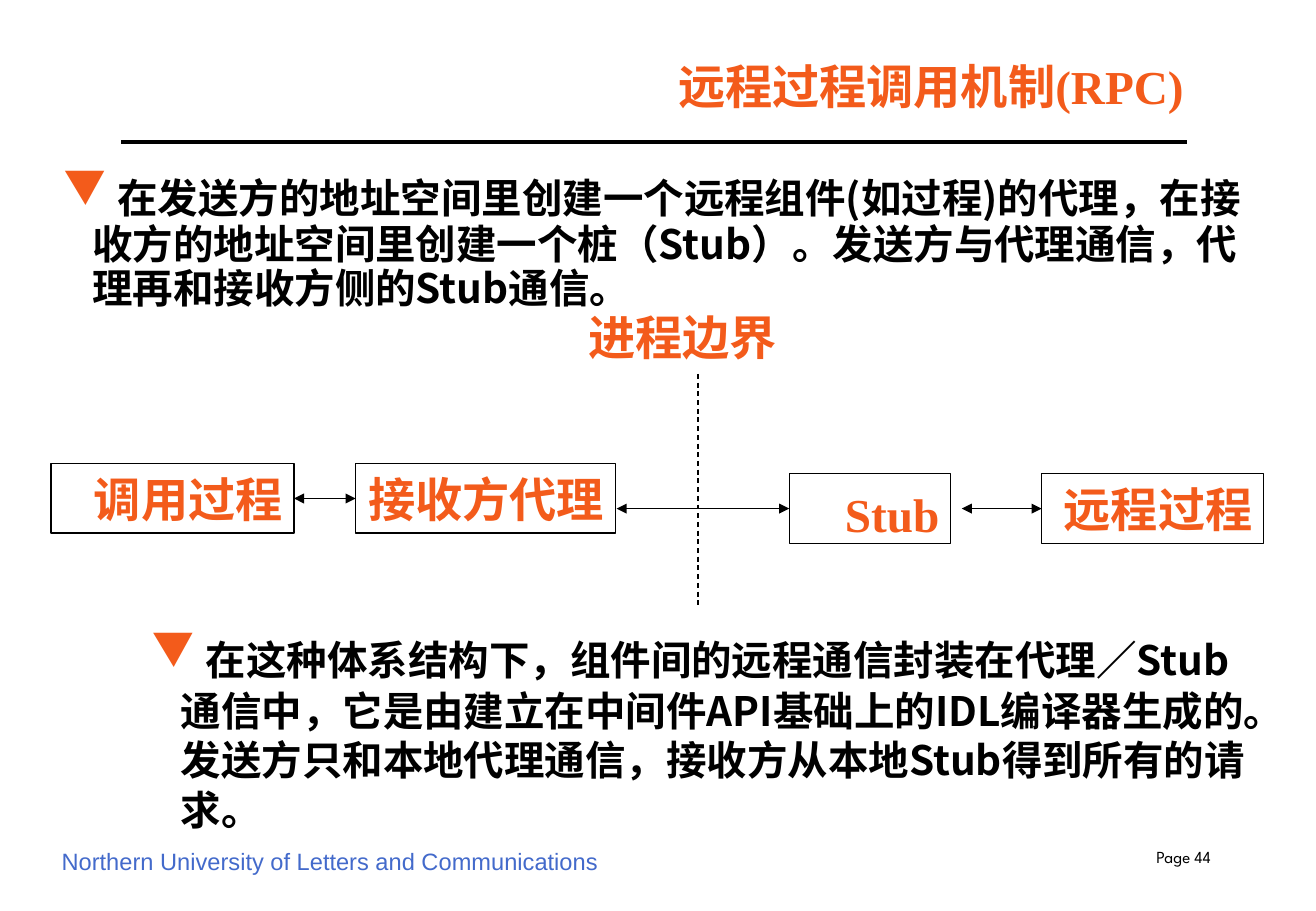
from lxml import etree
from pptx import Presentation
from pptx.dml.color import RGBColor
from pptx.enum import dml, shapes, text
from pptx.oxml import ns
from pptx.util import Cm, Pt

ORANGE = RGBColor(0xF3, 0x5B, 0x1B)
BLUE = RGBColor(0x43, 0x6A, 0xCB)
BLACK = RGBColor(0, 0, 0)
CJK = "Noto Sans CJK SC"
SERIF = "Times New Roman"
LABEL_HEIGHT = 1.45
UPPER_ROW, LOWER_ROW = 9.7, 9.91


def sub(parent, tag, **attrs):
    return etree.SubElement(parent, ns.qn(tag), attrs)


def add_run(p, words, size, font, color, bold=False):
    r = p.add_run()
    r.text = words
    r.font.size = Pt(size)
    r.font.name = font
    r.font.color.rgb = color
    r.font.bold = bold
    sub(r.font._element, "a:ea", typeface=CJK)


def add_text_box(slide, left, top, width, height):
    tf = slide.shapes.add_textbox(Cm(left), Cm(top), Cm(width), Cm(height)).text_frame
    tf.word_wrap = True
    return tf


def write_label(tf, words):
    """Right-aligned orange heading, centred vertically in its frame."""
    tf.word_wrap = True
    tf.auto_size = text.MSO_AUTO_SIZE.NONE
    tf.vertical_anchor = text.MSO_ANCHOR.MIDDLE
    tf.margin_left = tf.margin_right = Cm(0.24)
    tf.margin_top = tf.margin_bottom = Cm(0.13)
    p = tf.paragraphs[0]
    p.alignment = text.PP_ALIGN.RIGHT
    add_run(p, words, 28, SERIF, ORANGE, bold=True)


def set_title(slide, words):
    sp = slide.shapes.title
    sp.left, sp.top, sp.width, sp.height = Cm(9.96), Cm(1.07), Cm(15.04), Cm(LABEL_HEIGHT)
    write_label(sp.text_frame, words)


def add_bullet(slide, left, top, width, height, spacing, words):
    p = add_text_box(slide, left, top, width, height).paragraphs[0]
    p.line_spacing = Pt(spacing)
    pPr = p._p.get_or_add_pPr()
    pPr.set("marL", str(Cm(0.61)))
    pPr.set("indent", str(Cm(-0.61)))
    sub(sub(pPr, "a:buClr"), "a:srgbClr", val=str(ORANGE))
    sub(pPr, "a:buChar", char="▼")
    add_run(p, " ", 28, CJK, BLACK)
    add_run(p, words, 24, CJK, BLACK, bold=True)


def add_component(slide, left, top, width, words):
    sp = slide.shapes.add_shape(shapes.MSO_SHAPE.RECTANGLE, Cm(left), Cm(top),
                                Cm(width), Cm(LABEL_HEIGHT))
    sp.shadow.inherit = False
    sp.fill.background()
    sp.line.color.rgb = BLACK
    sp.line.width = Pt(0.75)
    write_label(sp.text_frame, words)
    return sp


def add_line(slide, x1, y1, x2, y2, width=0.75):
    line = slide.shapes.add_connector(shapes.MSO_CONNECTOR.STRAIGHT,
                                      Cm(x1), Cm(y1), Cm(x2), Cm(y2))
    line.line.color.rgb = BLACK
    line.line.width = Pt(width)
    sub(line._element.spPr, "a:effectLst")
    return line


def add_double_arrow(slide, x1, x2, y, target, source=None):
    arrow = add_line(slide, x1, y, x2, y)
    if source is not None:
        arrow.begin_connect(source, 3)
    arrow.end_connect(target, 1)
    ln = arrow.line._get_or_add_ln()
    for tag in ("a:headEnd", "a:tailEnd"):
        sub(ln, tag, type="triangle")


def add_diagram(slide):
    caller = add_component(slide, 1.07, UPPER_ROW, 5.08, "调用过程")
    proxy = add_component(slide, 7.44, UPPER_ROW, 5.44, "接收方代理")
    stub = add_component(slide, 16.51, LOWER_ROW, 3.38, "Stub")
    stub.text_frame.margin_top = Cm(0.36)
    remote = add_component(slide, 21.79, LOWER_ROW, 4.65, "远程过程")

    boundary = add_line(slide, 14.6, 7.82, 14.6, 12.73)
    boundary.line.dash_style = dml.MSO_LINE.DASH
    write_label(add_text_box(slide, 12.04, 6.32, 4.45, LABEL_HEIGHT), "进程边界")

    upper_middle = UPPER_ROW + LABEL_HEIGHT / 2
    lower_middle = LOWER_ROW + LABEL_HEIGHT / 2
    add_double_arrow(slide, 6.15, 7.44, upper_middle, proxy, caller)
    add_double_arrow(slide, 12.9, 16.51, lower_middle, stub)
    add_double_arrow(slide, 20.12, 21.79, lower_middle, remote)


def add_footer(slide):
    p = add_text_box(slide, 1.04, 17.58, 14, 0.84).paragraphs[0]
    add_run(p, "Northern University of Letters and Communications", 14, "Arial", BLUE)
    p = add_text_box(slide, 22.28, 17.58, 3.3, 0.74).paragraphs[0]
    p.alignment = text.PP_ALIGN.RIGHT
    add_run(p, "Page 44", 10, "League Spartan", BLACK)


def main():
    prs = Presentation()
    prs.slide_width, prs.slide_height = Cm(27.53), Cm(19.05)
    slide = prs.slides.add_slide(prs.slide_layouts[5])
    set_title(slide, "远程过程调用机制(RPC)")
    add_line(slide, 2.54, 2.97, 24.84, 2.97, width=2)
    add_bullet(slide, 1.07, 3.6, 25.4, 2.9, 26.4,
               "在发送方的地址空间里创建一个远程组件(如过程)的代理，在接收方的地址空间里"
               "创建一个桩（Stub）。发送方与代理通信，代理再和接收方侧的Stub通信。")
    add_diagram(slide)
    add_bullet(slide, 2.92, 13.16, 23.55, 4.3, 29.4,
               "在这种体系结构下，组件间的远程通信封装在代理／Stub通信中，它是由建立在"
               "中间件API基础上的IDL编译器生成的。发送方只和本地代理通信，接收方从本地"
               "Stub得到所有的请求。")
    add_footer(slide)
    prs.save("out.pptx")


if __name__ == "__main__":
    main()
